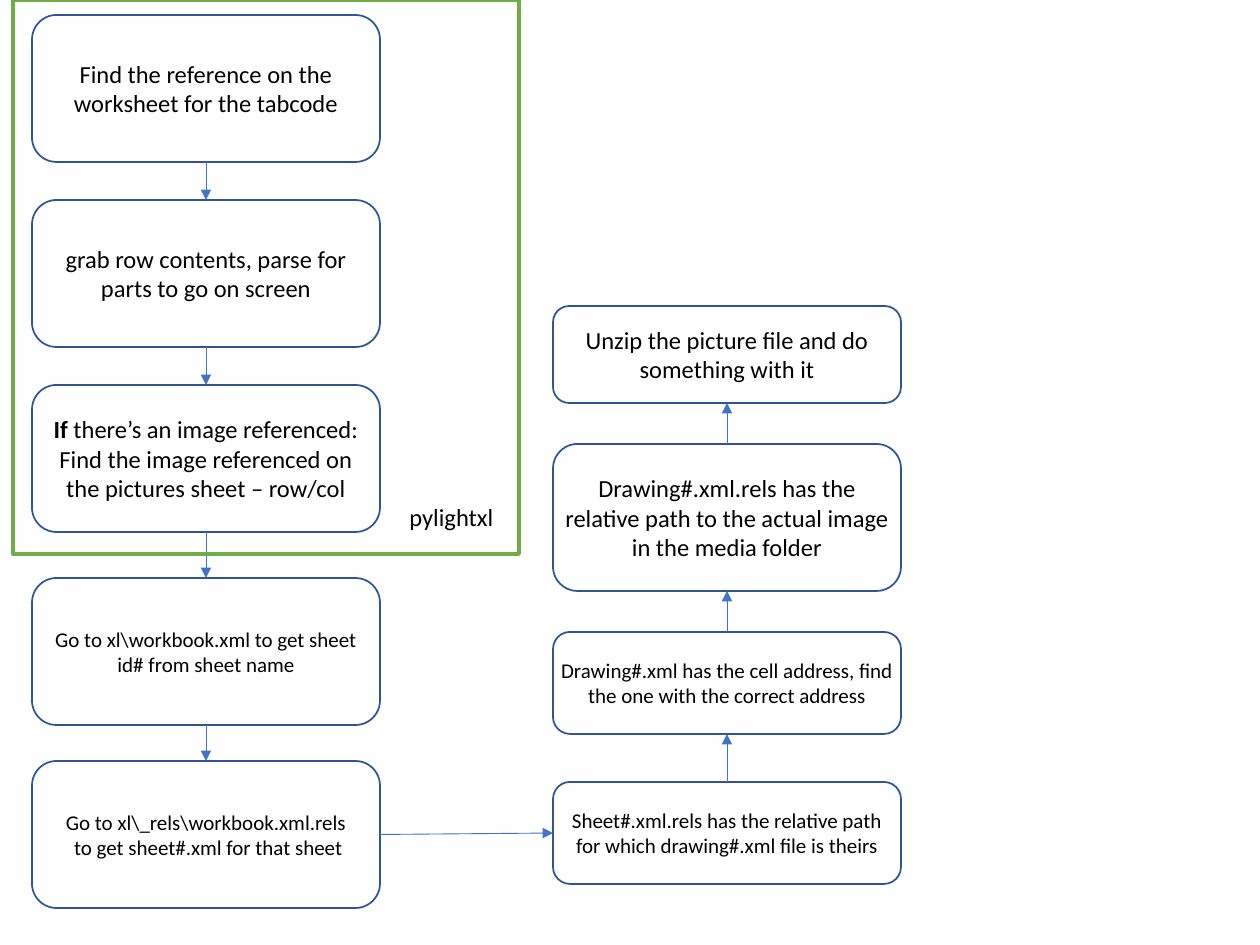
from pptx import Presentation
from pptx.dml.color import RGBColor
from pptx.enum.shapes import MSO_CONNECTOR as CONN, MSO_SHAPE as SHAPE
from pptx.enum.text import MSO_ANCHOR as ANCHOR, MSO_AUTO_SIZE as AUTO, PP_ALIGN as ALIGN
from pptx.oxml.ns import qn
from pptx.util import Emu, Pt
from lxml.etree import SubElement

BORDER = RGBColor(0x32, 0x54, 0x91)
ARROW = RGBColor(0x44, 0x72, 0xC4)
GREEN = RGBColor(0x70, 0xAD, 0x47)
BLACK = RGBColor(0, 0, 0)

TOP, LEFT, BOTTOM, RIGHT = range(4)
SCALE = 914400 / 126


def px(*lengths):
    return [Emu(round(n * SCALE)) for n in lengths]


def add_text(p, text, size=14, bold=False, align=None):
    p.alignment = align
    r = p.add_run()
    r.text = text
    r.font.name = "Calibri"
    r.font.size = Pt(size)
    r.font.bold = bold
    r.font.color.rgb = BLACK


prs = Presentation()
prs.slide_width, prs.slide_height = px(1260, 945)
s = prs.slides.add_slide(prs.slide_layouts[6])

steps = [
    (32, 15, 147, 14, ["Find the reference on the worksheet for the tabcode"]),
    (32, 200, 147, 14, ["grab row contents, parse for parts to go on screen"]),
    (32, 385, 147, 14, ["**If **there’s an image referenced:",
                        "Find the image referenced on the pictures sheet – row/col"]),
    (32, 578, 147, 12, ["Go to xl\\workbook.xml to get sheet id# from sheet name"]),
    (32, 761, 147, 12, ["Go to xl\\_rels\\workbook.xml.rels",
                        " to get sheet#.xml for that sheet"]),
    (553, 782, 102, 12, ["Sheet#.xml.rels has the relative path for which drawing#.xml file is theirs"]),
    (553, 632, 102, 12, ["Drawing#.xml has the cell address, find the one with the correct address"]),
    (553, 444, 147, 14, ["Drawing#.xml.rels has the relative path to the actual image in the media folder"]),
    (553, 306, 97, 14, ["Unzip the picture file and do something with it"]),
]

boxes = []
for x, y, h, size, paragraphs in steps:
    sp = s.shapes.add_shape(SHAPE.ROUNDED_RECTANGLE, *px(x, y, 348, h))
    sp.shadow.inherit = False
    sp.fill.background()
    sp.line.color.rgb = BORDER
    sp.line.width = Pt(1)
    tf = sp.text_frame
    tf.word_wrap = True
    tf.vertical_anchor = ANCHOR.MIDDLE
    tf.margin_left = tf.margin_right = Pt(1.25)
    tf.margin_top = tf.margin_bottom = Pt(1)
    for i, text in enumerate(paragraphs):
        p = tf.add_paragraph() if i else tf.paragraphs[0]
        for j, part in enumerate(text.split("**")):
            if part:
                add_text(p, part, size=size, bold=j % 2 == 1, align=ALIGN.CENTER)
    boxes.append(sp)

for start, end in zip(boxes, boxes[1:]):
    if start.left != end.left:
        exit_side, entry_side = RIGHT, LEFT
    elif start.top < end.top:
        exit_side, entry_side = BOTTOM, TOP
    else:
        exit_side, entry_side = TOP, BOTTOM
    arrow = s.shapes.add_connector(CONN.STRAIGHT, 0, 0, 0, 0)
    arrow.begin_connect(start, exit_side)
    arrow.end_connect(end, entry_side)
    arrow.line.color.rgb = ARROW
    arrow.line.width = Pt(0.5)
    SubElement(arrow.line._get_or_add_ln(), qn("a:tailEnd"), type="triangle")
    SubElement(arrow._element.spPr, qn("a:effectLst"))

frame = s.shapes.add_shape(SHAPE.RECTANGLE, *px(13, 0, 506, 554))
frame.shadow.inherit = False
frame.fill.background()
frame.line.color.rgb = GREEN
frame.line.width = Pt(2.25)

label = s.shapes.add_textbox(*px(397, 496, 115, 43))
tf = label.text_frame
tf.word_wrap = False
tf.auto_size = AUTO.SHAPE_TO_FIT_TEXT
add_text(tf.paragraphs[0], "pylightxl")

prs.save("out.pptx")
